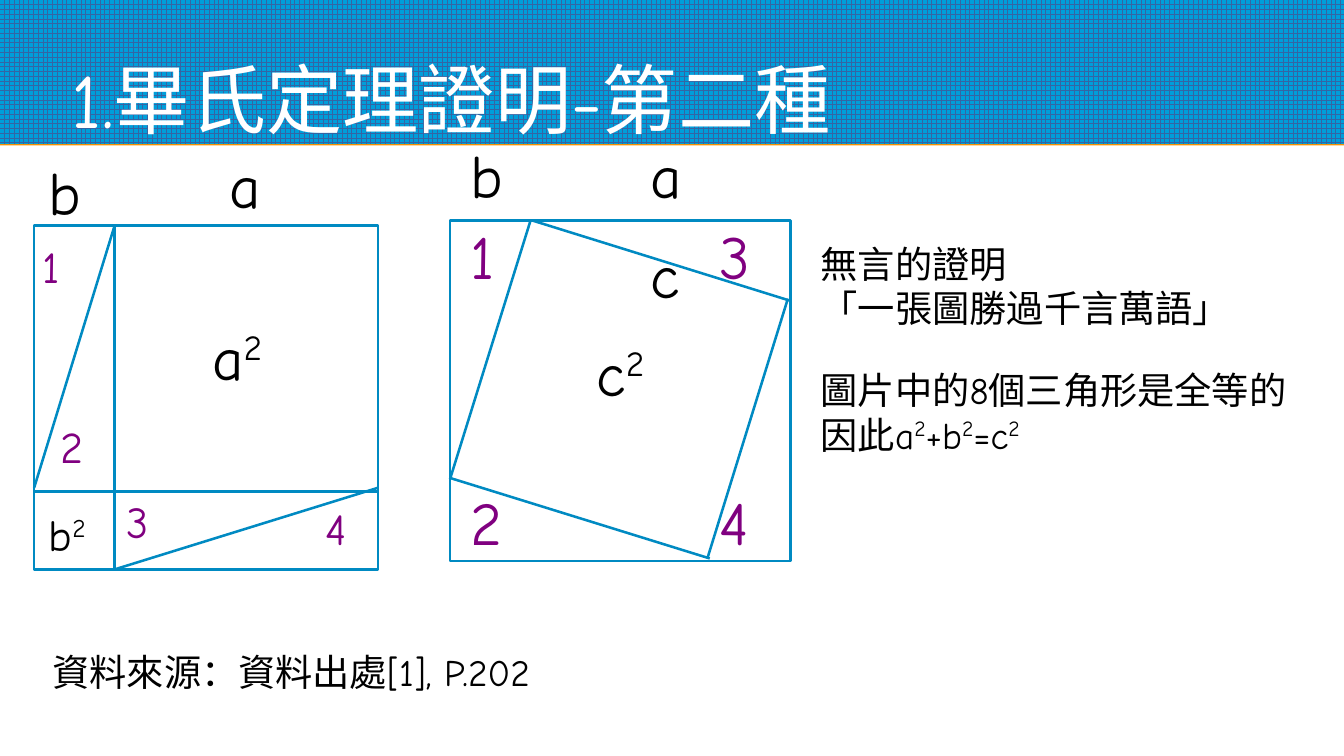
from dataclasses import dataclass

from lxml.etree import SubElement
from pptx import Presentation
from pptx.dml.color import RGBColor
from pptx.enum.dml import MSO_PATTERN
from pptx.enum.shapes import MSO_CONNECTOR, MSO_SHAPE
from pptx.enum.text import MSO_ANCHOR, MSO_AUTO_SIZE, PP_ALIGN
from pptx.oxml.ns import qn
from pptx.shapes.base import BaseShape
from pptx.slide import Slide
from pptx.util import Inches, Length, Pt

COLUMNS, ROWS = 110.2, 62
LABEL_WIDTH, LABEL_HEIGHT = 11.1, 8.2


@dataclass(frozen=True)
class Theme:
    font: str = "Comic Neue"
    ink: RGBColor = RGBColor(0x00, 0x00, 0x00)
    white: RGBColor = RGBColor(0xFF, 0xFF, 0xFF)
    purple: RGBColor = RGBColor(0x80, 0x00, 0x80)
    stroke: RGBColor = RGBColor(0x00, 0x8A, 0xC2)
    band: RGBColor = RGBColor(0x00, 0x9E, 0xDA)
    band_grid: RGBColor = RGBColor(0x34, 0x65, 0xA4)
    band_edge: str = "F49100"
    title: float = 45
    large: float = 36
    medium: float = 26
    body: float = 22
    stroke_width: float = 1.5


THEME = Theme()


@dataclass(frozen=True)
class Area:
    column: float
    row: float
    width: float
    height: float


@dataclass(frozen=True)
class Stroke:
    start: tuple[float, float]
    end: tuple[float, float]


@dataclass(frozen=True)
class Label:
    text: str
    column: float
    row: float
    size: float = THEME.large
    color: RGBColor = THEME.ink


@dataclass(frozen=True)
class Diagram:
    column: float
    row: float
    side: float
    strokes: tuple[Stroke, ...]
    labels: tuple[Label, ...]


LEG = 6.6
DISSECTED = Diagram(
    2.8, 18.5, 28.2,
    (
        Stroke((LEG, 0), (LEG, 28.2)),
        Stroke((0, 21.8), (28.2, 21.8)),
        Stroke((LEG, 0), (0, 21.5)),
        Stroke((28.2, 21.5), (LEG, 28.2)),
    ),
    (
        Label("a", 15.6, -7.5),
        Label("a^2", 14.2, 6.6),
        Label("b", 0.8, -6.9),
        Label("b^2", 0.8, 21.2, THEME.medium),
        Label("1", 0.3, -0.8, THEME.medium, THEME.purple),
        Label("2", 1.8, 14, THEME.medium, THEME.purple),
        Label("3", 7.2, 20.1, THEME.medium, THEME.purple),
        Label("4", 23.5, 20.7, THEME.medium, THEME.purple),
    ),
)
TILTED = Diagram(
    36.9, 18.1, 27.9,
    (
        Stroke((LEG, 0), (0, 21.2)),
        Stroke((27.7, 6.4), (21.1, 27.7)),
        Stroke((28, LEG), (6.8, 0)),
        Stroke((21.3, 27.7), (0, 21.1)),
    ),
    (
        Label("c^2", 11.6, 8.3),
        Label("c", 16, 0.3),
        Label("a", 16, -7.9),
        Label("b", 1.3, -7.9),
    ) + tuple(
        Label(str(number), column, row, color=THEME.purple)
        for number, (column, row) in enumerate(
            ((1.3, -1.3), (1.3, 20.5), (21.7, -1.3), (21.7, 20.5)), start=1
        )
    ),
)


def cells(count: float) -> Length:
    return Inches(count / 10)


def place(box: BaseShape, area: Area) -> None:
    box.left, box.top = cells(area.column), cells(area.row)
    box.width, box.height = cells(area.width), cells(area.height)


def write(box: BaseShape, lines: tuple[str, ...], size: float, color: RGBColor,
          anchor: MSO_ANCHOR = MSO_ANCHOR.MIDDLE, margin: float = 0.4) -> None:
    frame = box.text_frame
    frame.word_wrap = True
    frame.auto_size = MSO_AUTO_SIZE.NONE
    frame.vertical_anchor = anchor
    frame.margin_left = frame.margin_right = cells(margin)
    frame.margin_top = frame.margin_bottom = cells(margin)
    for index, line in enumerate(lines):
        para = frame.add_paragraph() if index else frame.paragraphs[0]
        para.alignment = PP_ALIGN.LEFT
        para.space_before = Pt(0)
        para.font.name = THEME.font
        para.font.size = Pt(size)
        para.font.color.rgb = color
        first, *powers = line.split("^")
        para.add_run().text = first
        for power in powers:
            span = para.add_run()
            span.text = power[0]
            span._r.get_or_add_rPr().set("baseline", "33000")
            if power[1:]:
                para.add_run().text = power[1:]


def draw_band(page: Slide) -> BaseShape:
    band = page.shapes.add_shape(MSO_SHAPE.RECTANGLE, 0, 0, cells(COLUMNS), cells(11.8))
    band.fill.patterned()
    band.fill.pattern = MSO_PATTERN.LARGE_GRID
    band.fill.fore_color.rgb = THEME.band_grid
    band.fill.back_color.rgb = THEME.band
    band.line.fill.background()
    band.shadow.inherit = False
    effects = band._element.spPr.find(qn("a:effectLst"))
    edge = SubElement(effects, qn("a:outerShdw"), blurRad="0", dist=str(Pt(0.9)),
                      dir="5400000", algn="ctr", rotWithShape="0")
    SubElement(edge, qn("a:srgbClr"), val=THEME.band_edge)
    return band


def draw_diagram(page: Slide, diagram: Diagram) -> None:
    square = page.shapes.add_shape(
        MSO_SHAPE.RECTANGLE, cells(diagram.column), cells(diagram.row),
        cells(diagram.side), cells(diagram.side))
    square.shadow.inherit = False
    square.fill.background()
    outlines = [square]
    for stroke in diagram.strokes:
        ends = [cells(origin + offset) for point in (stroke.start, stroke.end)
                for origin, offset in zip((diagram.column, diagram.row), point)]
        connector = page.shapes.add_connector(MSO_CONNECTOR.STRAIGHT, *ends)
        SubElement(connector._element.spPr, qn("a:effectLst"))
        outlines.append(connector)
    for outline in outlines:
        outline.line.color.rgb = THEME.stroke
        outline.line.width = Pt(THEME.stroke_width)
    for label in diagram.labels:
        box = page.shapes.add_textbox(
            cells(diagram.column + label.column), cells(diagram.row + label.row),
            cells(LABEL_WIDTH), cells(LABEL_HEIGHT))
        write(box, (label.text,), label.size, label.color)


def main() -> None:
    deck = Presentation()
    deck.slide_width, deck.slide_height = cells(COLUMNS), cells(ROWS)
    page = deck.slides.add_slide(deck.slide_layouts[1])
    title, body = page.shapes.title, page.placeholders[1]

    band = draw_band(page)
    band._element.addnext(title._element)
    place(title, Area(5.9, 1, 98.4, 10.8))
    write(title, ("1.畢氏定理證明-第二種",), THEME.title, THEME.white, MSO_ANCHOR.BOTTOM, 0)

    draw_diagram(page, DISSECTED)
    draw_diagram(page, TILTED)

    place(body, Area(66.9, 19.4, 41.3, 18.4))
    write(body, ("無言的證明", "「一張圖勝過千言萬語」", "圖片中的8個三角形是全等的",
                 "因此a^2+b^2=c^2"), THEME.body, THEME.ink)
    for para in body.text_frame.paragraphs:
        properties = para._p.get_or_add_pPr()
        properties.set("marL", "0")
        properties.set("indent", "0")
        properties.find(qn("a:defRPr")).addprevious(properties.makeelement(qn("a:buNone")))
    body.text_frame.paragraphs[2].space_before = Pt(THEME.body)

    reference = page.shapes.add_textbox(cells(3.9), cells(52.6), cells(61), cells(5))
    write(reference, ("資料來源：資料出處[1], P.202",), THEME.body, THEME.ink)
    deck.save("out.pptx")


if __name__ == "__main__":
    main()
